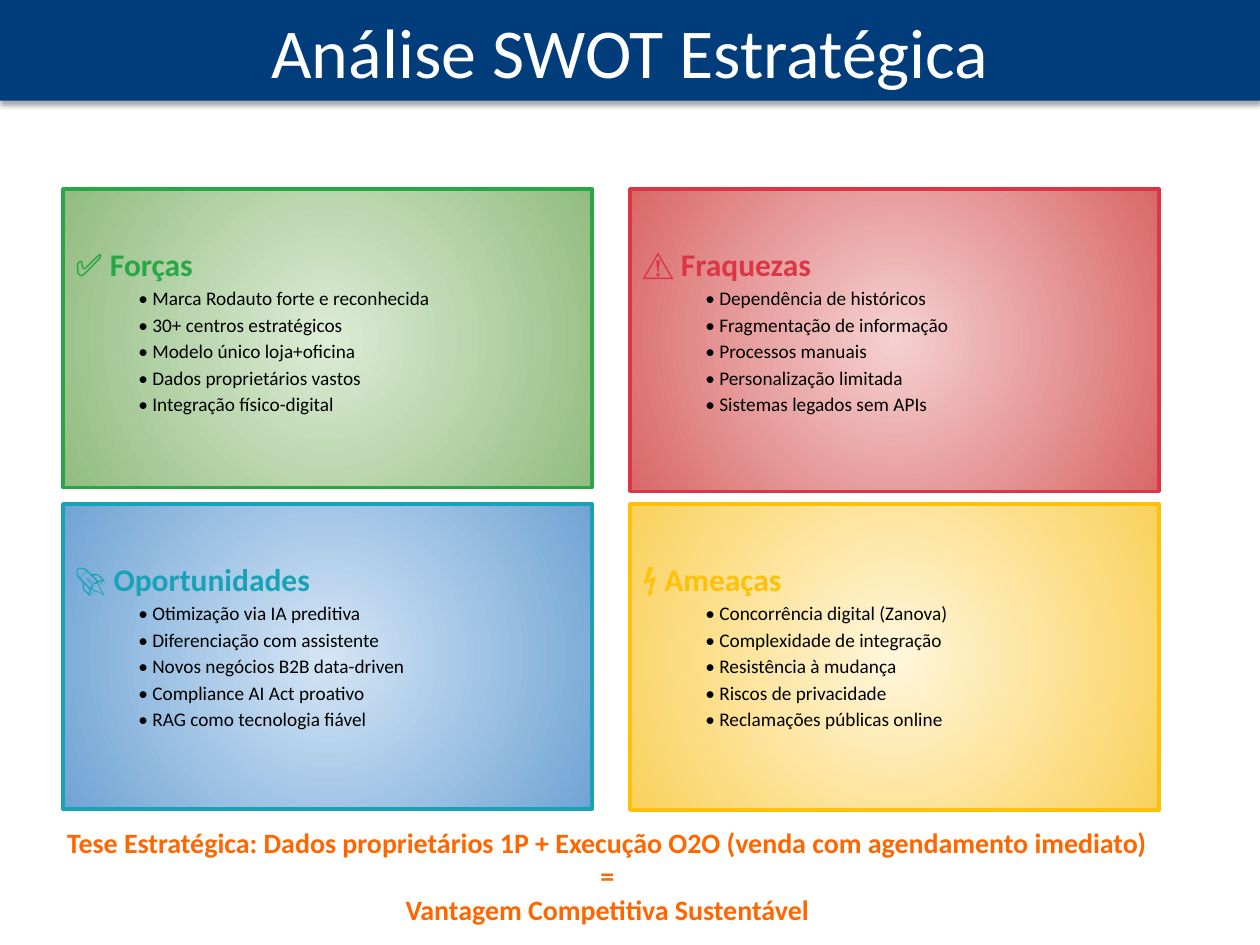
from pptx import Presentation, util as u
from pptx.dml.color import RGBColor
from pptx.enum import shapes as sh, text as tx
from pptx.oxml import parse_xml
from pptx.oxml.ns import nsdecls

HUE = {"bar": "003D7A", "title": "FFFFFF", "text": "000000", "thesis": "FF6600"}
FONT = "Calibri"
W, H = 10, 7.5

# heading, edge, centre and rim colours, height, points
SWOT = [
    ("✅ Forças", "28A745", "DCECD5", "92BC81", 2.37,
     ["Marca Rodauto forte e reconhecida", "30+ centros estratégicos",
      "Modelo único loja+oficina", "Dados proprietários vastos",
      "Integração físico-digital"]),
    ("⚠️ Fraquezas", "DC3545", "F5D0D0", "D96868", 2.4,
     ["Dependência de históricos", "Fragmentação de informação",
      "Processos manuais", "Personalização limitada",
      "Sistemas legados sem APIs"]),
    ("🚀 Oportunidades", "17A2B8", "D4E5F5", "70A4D5", 2.42,
     ["Otimização via IA preditiva", "Diferenciação com assistente",
      "Novos negócios B2B data-driven", "Compliance AI Act proativo",
      "RAG como tecnologia fiável"]),
    ("⚡ Ameaças", "FFC107", "FFF6DB", "FAD15C", 2.43,
     ["Concorrência digital (Zanova)", "Complexidade de integração",
      "Resistência à mudança", "Riscos de privacidade",
      "Reclamações públicas online"]),
]
THESIS = [
    "Tese Estratégica: Dados proprietários 1P + Execução O2O "
    "(venda com agendamento imediato)",
    "=",
    "Vantagem Competitiva Sustentável",
]


def inch(box):
    return [u.Inches(v) for v in box]


def assign(item, vals):
    for key, val in vals.items():
        setattr(item, key, val)


def write(par, words, size, hue, bold=False, **form):
    run = par.add_run()
    run.text = words
    assign(run.font, {"name": FONT, "size": u.Pt(size), "bold": bold})
    run.font.color.rgb = RGBColor.from_string(hue)
    assign(par, form)


def rect(slide, box):
    shape = slide.shapes.add_shape(sh.MSO_SHAPE.RECTANGLE, *inch(box))
    shape.shadow.inherit = False
    return shape


def glow(shape, core, rim):
    """Fill from the centre outwards."""
    shape.fill.background()
    old = shape._element.spPr.find("{*}noFill")
    stops = "".join(
        f'<a:gs pos="{pos}"><a:srgbClr val="{hue}"/></a:gs>'
        for pos, hue in ((0, core), (100000, rim)))
    new = parse_xml(
        f'<a:gradFill {nsdecls("a")} rotWithShape="1"><a:gsLst>{stops}</a:gsLst>'
        '<a:path path="circle"><a:fillToRect l="50000" t="50000" r="50000" '
        'b="50000"/></a:path></a:gradFill>')
    old.getparent().replace(old, new)


def panel(slide, box, head, edge, core, rim, points):
    shape = rect(slide, box)
    glow(shape, core, rim)
    shape.line.color.rgb = RGBColor.from_string(edge)
    shape.line.width = u.Pt(2)
    frame = shape.text_frame
    assign(frame, {"word_wrap": True, "vertical_anchor": tx.MSO_ANCHOR.TOP,
                   "margin_top": u.Inches(0.4)})
    form = {"alignment": tx.PP_ALIGN.LEFT, "line_spacing": 1.15}
    write(frame.paragraphs[0], head, 18, edge, True, **form)
    for point in points:
        par = frame.add_paragraph()
        write(par, f"• {point}", 11, HUE["text"], level=1, **form)
        pPr = par._p.get_or_add_pPr()
        pPr.set("marL", str(u.Inches(0.5)))
        pPr.set("indent", "0")


def matrix(slide, box):
    """Two columns by two rows of panels."""
    left, top, step, drop = box
    for i, (head, edge, core, rim, high, points) in enumerate(SWOT):
        row, col = divmod(i, 2)
        spot = (left + col * step, top + row * drop, 4.2, high)
        panel(slide, spot, head, edge, core, rim, points)


def thesis(slide, box):
    frame = slide.shapes.add_textbox(*inch(box)).text_frame
    frame.word_wrap = True
    for i, words in enumerate(THESIS):
        par = frame.add_paragraph() if i else frame.paragraphs[0]
        write(par, words, 16, HUE["thesis"], True, alignment=tx.PP_ALIGN.CENTER)


def header(slide, box):
    # Bar with a soft shadow below
    bar = rect(slide, box)
    bar.fill.solid()
    bar.fill.fore_color.rgb = RGBColor.from_string(HUE["bar"])
    bar.line.fill.background()
    bar._element.spPr.find("{*}effectLst").append(parse_xml(
        f'<a:outerShdw {nsdecls("a")} blurRad="{u.Pt(3.1)}" dist="{u.Pt(1.8)}" '
        'dir="5400000" rotWithShape="0"><a:srgbClr val="000000">'
        '<a:alpha val="35000"/></a:srgbClr></a:outerShdw>'))
    # Title, raised above the bar
    left, top, wide, high = box
    title = slide.shapes.title
    spot = inch((left + 0.05 * wide, top, 0.9 * wide, high))
    assign(title, dict(zip(("left", "top", "width", "height"), spot)))
    assign(title.text_frame, {"vertical_anchor": tx.MSO_ANCHOR.MIDDLE,
                              "auto_size": tx.MSO_AUTO_SIZE.NONE})
    write(title.text_frame.paragraphs[0], "Análise SWOT Estratégica", 40,
          HUE["title"], alignment=tx.PP_ALIGN.CENTER)
    bar._element.addnext(title._element)


def main():
    deck = Presentation()
    assign(deck, {"slide_width": u.Inches(W), "slide_height": u.Inches(H)})
    slide = deck.slides.add_slide(deck.slide_layouts[5])
    matrix(slide, (0.05 * W, 0.2 * H, 4.5, 2.5))
    thesis(slide, (0.32, 6.5, 0.9 * W, 0.91))
    header(slide, (0, 0, W, 0.8))
    deck.save("out.pptx")


if __name__ == "__main__":
    main()
